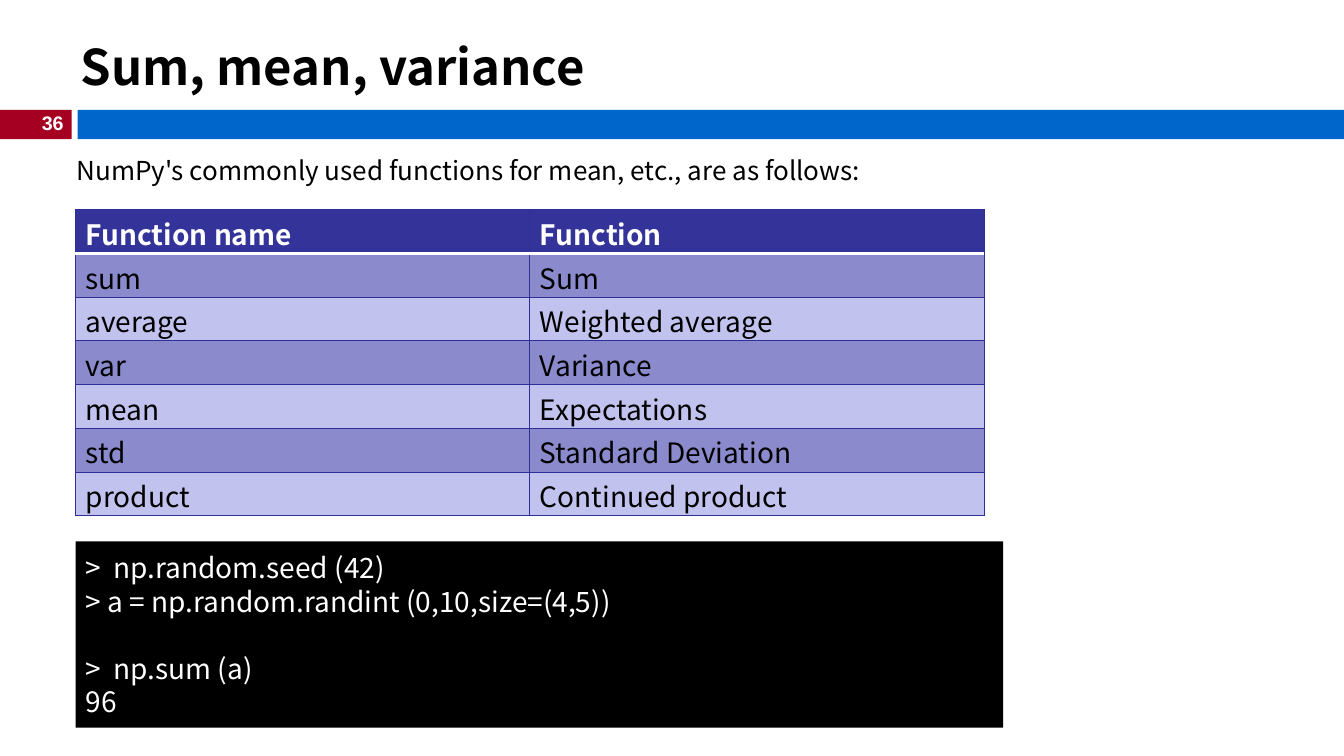
import pptx
import pptx.util
from lxml import etree
from pptx.dml.color import RGBColor
from pptx.enum.shapes import MSO_SHAPE
from pptx.enum.text import MSO_ANCHOR, PP_ALIGN
from pptx.oxml.ns import qn
from pptx.util import Inches, Pt

TITLE = "Sum, mean, variance"
PAGE_NUMBER = "36"
INTRO = "NumPy's commonly used functions for mean, etc., are as follows:"
FUNCTIONS = [
    ("Function name", "Function"),
    ("sum", "Sum"),
    ("average", "Weighted average"),
    ("var", "Variance"),
    ("mean", "Expectations"),
    ("std", "Standard Deviation"),
    ("product", "Continued product"),
]
CODE = [
    ">  np.random.seed (42)",
    "> a = np.random.randint (0,10,size=(4,5))",
    "",
    ">  np.sum (a)",
    "96",
]

BODY_FONT = "Noto Sans CJK SC"
NUMBER_FONT = "Arial"
LINE_RATIO = 1.2
BLACK = RGBColor(0x00, 0x00, 0x00)
WHITE = RGBColor(0xFF, 0xFF, 0xFF)
RED = RGBColor(0xA5, 0x00, 0x21)
BLUE = RGBColor(0x00, 0x66, 0xCC)
HEADER_FILL = RGBColor(0x33, 0x33, 0x99)
BAND_FILLS = [RGBColor(0xC2, 0xC2, 0xEE), RGBColor(0x8A, 0x8A, 0xCC)]
GRID = RGBColor(0x2F, 0x2F, 0x98)


def write(frame, lines, size, color, bold=False, font=BODY_FONT,
          align=PP_ALIGN.LEFT):
    for index, line in enumerate(lines):
        paragraph = frame.add_paragraph() if index else frame.paragraphs[0]
        paragraph.alignment = align
        paragraph.line_spacing = Pt(size * LINE_RATIO)
        paragraph.font.size = Pt(size)
        if line:
            run = paragraph.add_run()
            run.text = line
            run.font.size = Pt(size)
            run.font.name = font
            run.font.bold = bold
            run.font.color.rgb = color
            east_asian = etree.SubElement(run.font._element, qn("a:ea"))
            east_asian.set("typeface", font)


def add_text(slide, box, anchor, wrap=True):
    frame = slide.shapes.add_textbox(*map(Inches, box)).text_frame
    frame.word_wrap = wrap
    frame.vertical_anchor = anchor
    return frame


def add_block(slide, box, color):
    block = slide.shapes.add_shape(MSO_SHAPE.RECTANGLE, *map(Inches, box))
    block.shadow.inherit = False
    block.fill.solid()
    block.fill.fore_color.rgb = color
    block.line.fill.background()
    return block


def set_border(cell, side, color, width):
    """Draw one side (L, R, T or B) of a cell."""
    line = etree.SubElement(cell._tc.get_or_add_tcPr(), qn(f"a:ln{side}"))
    line.set("w", str(Pt(width)))
    fill = etree.SubElement(line, qn("a:solidFill"))
    etree.SubElement(fill, qn("a:srgbClr")).set("val", str(color))


def add_function_table(slide):
    rows, columns = len(FUNCTIONS), len(FUNCTIONS[0])
    table = slide.shapes.add_table(
        rows, columns, Inches(0.75), Inches(2.08), Inches(9.01), Inches(3.03)
    ).table
    for row, texts in enumerate(FUNCTIONS):
        header = row == 0
        for column, text in enumerate(texts):
            cell = table.cell(row, column)
            cell.margin_top, cell.margin_bottom = Inches(0.1), 0
            for side in "LRTB":
                under_header = (row, side) in ((0, "B"), (1, "T"))
                set_border(cell, side, WHITE if under_header else GRID,
                           2 if under_header else 0.75)
            cell.fill.solid()
            cell.fill.fore_color.rgb = HEADER_FILL if header else BAND_FILLS[row % 2]
            write(cell.text_frame, [text], 20, WHITE if header else BLACK, header)


def main():
    deck = pptx.Presentation()
    deck.slide_width, deck.slide_height = Inches(13.33), Inches(7.5)
    slide = deck.slides.add_slide(deck.slide_layouts[6])

    add_block(slide, (0, 1.09, 0.71, 0.29), RED)
    add_block(slide, (0.77, 1.09, 12.56, 0.29), BLUE)
    number = add_text(slide, (0.29, 1.05, 0.44, 0.34), MSO_ANCHOR.MIDDLE, False)
    write(number, [PAGE_NUMBER], 14, WHITE, True, NUMBER_FONT, PP_ALIGN.RIGHT)

    title = add_text(slide, (0.7, 0.28, 6.76, 0.71), MSO_ANCHOR.BOTTOM)
    write(title, [TITLE], 35, BLACK, True)
    intro = add_text(slide, (0.66, 1.48, 9.2, 0.5), MSO_ANCHOR.TOP)
    write(intro, [INTRO], 18.6, BLACK)

    add_function_table(slide)
    console = add_block(slide, (0.75, 5.37, 9.2, 1.85), BLACK).text_frame
    console.word_wrap = True
    console.vertical_anchor = MSO_ANCHOR.MIDDLE
    write(console, CODE, 20, WHITE)

    deck.save("out.pptx")


if __name__ == "__main__":
    main()
